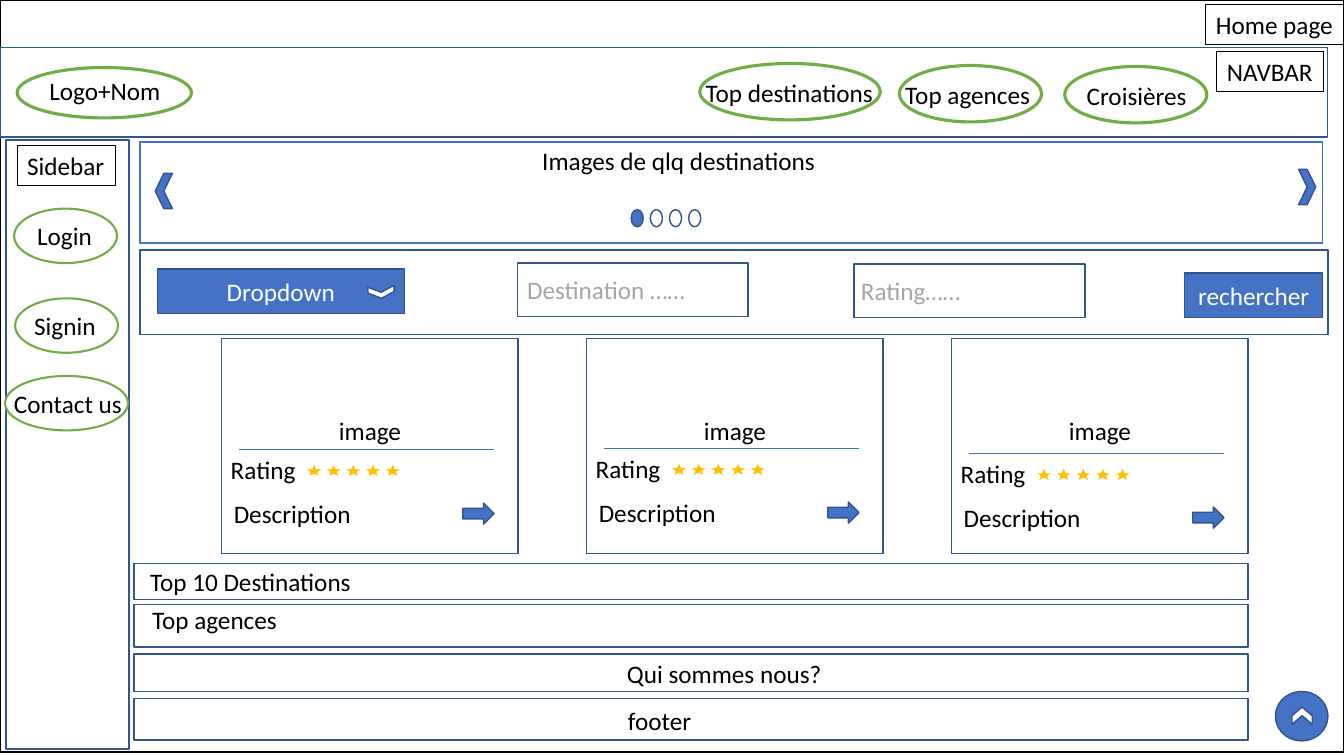
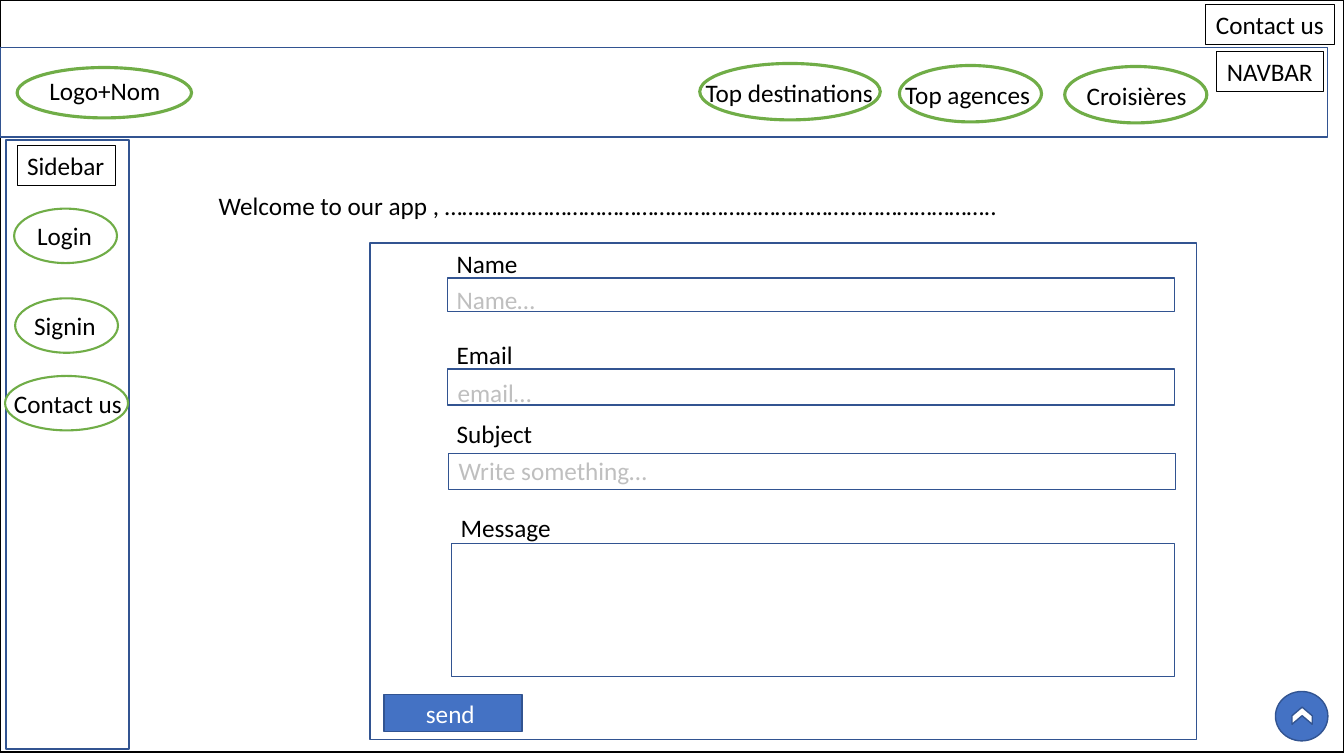
from dataclasses import dataclass

from lxml import etree
from pptx import Presentation
from pptx import util as u
from pptx.dml.color import RGBColor
from pptx.enum import shapes, text
from pptx.oxml.ns import qn

KIND = shapes.MSO_SHAPE
SIZING = text.MSO_AUTO_SIZE


@dataclass(frozen=True)
class Theme:
    """Colours, font and sizes used on every slide."""
    font: str = "Calibri"
    size: int = 18
    black: str = "000000"
    white: str = "FFFFFF"
    blue: str = "4472C4"
    navy: str = "325491"
    green: str = "70AD47"
    gold: str = "FFC000"
    grey: str = "A6A6A6"
    pale: str = "BFBFBF"


T = Theme()


def color(code):
    """Turn a hex code into a colour."""
    return RGBColor.from_string(code)


def shape(page, kind, box, fill=None, line=T.navy, width=1.0, turn=0):
    """Draw a preset shape without shadow."""
    item = page.shapes.add_shape(kind, *map(u.Inches, box))
    item.shadow.inherit = False
    item.rotation = turn
    outline(item, line, width)
    if fill:
        item.fill.solid()
        item.fill.fore_color.rgb = color(fill)
    else:
        item.fill.background()
    return item


def outline(item, line, width):
    """Set the outline of a shape."""
    item.line.color.rgb = color(line)
    item.line.width = u.Pt(width)


def write(item, words, tint=T.black, align=text.PP_ALIGN.LEFT):
    """Add one run of text to a shape."""
    para = item.text_frame.paragraphs[0]
    para.alignment = align
    run = para.add_run()
    run.text = words
    run.font.name = T.font
    run.font.size = u.Pt(T.size)
    run.font.bold = False
    run.font.color.rgb = color(tint)


def fit(item, wrap, sizing=SIZING.SHAPE_TO_FIT_TEXT):
    """Anchor text at the top and set how its shape adapts."""
    frame = item.text_frame
    frame.word_wrap = wrap
    frame.vertical_anchor = text.MSO_ANCHOR.TOP
    frame.auto_size = sizing


def label(page, words, x, y, w, tint=T.black, wrap=True):
    """Place a one-line text box."""
    item = page.shapes.add_textbox(*map(u.Inches, (x, y, w, 0.4)))
    fit(item, wrap)
    write(item, words, tint)


def tag(page, words, x, y, w):
    """Place a black-edged name tag."""
    item = shape(page, KIND.RECTANGLE, (x, y, w, 0.4), None, T.black, 0.75)
    fit(item, False)
    write(item, words)


def middle(item, words, tint):
    """Centre words in a shape."""
    item.text_frame.word_wrap = True
    item.text_frame.vertical_anchor = text.MSO_ANCHOR.MIDDLE
    write(item, words, tint, text.PP_ALIGN.CENTER)


def button(page, words, box):
    """Draw a blue button."""
    middle(shape(page, KIND.RECTANGLE, box, T.blue), words, T.white)


def title(page, words, box):
    """Turn the title placeholder into the page tag of fixed size."""
    item = page.shapes.title
    item.left, item.top, item.width, item.height = map(u.Inches, box)
    fit(item, False, SIZING.NONE)
    item.fill.background()
    outline(item, T.black, 0.75)
    frame = item.text_frame
    frame.margin_left = frame.margin_right = u.Inches(0.1)
    frame.margin_top = frame.margin_bottom = u.Inches(0.05)
    write(item, words)


def navbar(page, box):
    """Draw the top band with its links."""
    x, y, w, h = box
    shape(page, KIND.RECTANGLE, box)
    tag(page, "NAVBAR", x + 12.07, y + 0.04, 1.06)
    links = (
        ("Logo+Nom", 0.17, 0.2, 1.73, 0.5, 0.39, 0.23, 1.32),
        ("Top destinations", 6.94, 0.16, 1.79, 0.56, 6.9, 0.25, 1.88),
        ("Top agences", 8.92, 0.18, 1.41, 0.56, 8.88, 0.27, 1.46),
        ("Croisières", 10.56, 0.19, 1.41, 0.56, 10.68, 0.28, 1.2),
    )
    for words, left, top, wide, high, inset, drop, span in links:
        shape(page, KIND.OVAL, (x + left, y + top, wide, high),
              None, T.green, 2.25)
        label(page, words, x + inset, y + drop, span, wrap=False)


def sidebar(page, box):
    """Draw the left band with its links."""
    x, y, w, h = box
    shape(page, KIND.RECTANGLE, box)
    tag(page, "Sidebar", x + 0.11, y + 0.05, 0.98)
    links = (
        ("Login", 0.08, 0.68, 1.02, 0.21, 0.78),
        ("Signin", 0.09, 1.57, 1.02, 0.18, 0.91),
        ("Contact us", -0.01, 2.34, 1.22, -0.02, 1.61),
    )
    for words, left, top, wide, inset, span in links:
        shape(page, KIND.OVAL, (x + left, y + top, wide, 0.54),
              T.white, T.green, 1.5)
        label(page, words, x + inset, y + top + 0.07, span)


def upward(page, box):
    """Draw the round back-to-top button."""
    x, y, w, h = box
    shape(page, KIND.FLOWCHART_CONNECTOR, box, T.blue)
    shape(page, KIND.CHEVRON, (x + 0.18, y + 0.14, 0.17, 0.2),
          T.white, turn=270)


def start(deck, words, wide):
    """Add a slide with the parts that all pages share."""
    page = deck.slides.add_slide(deck.slide_layouts[5])
    title(page, words, (11.96, 0.04, wide, 0.4))
    shape(page, KIND.RECTANGLE, (0, 0, 13.33, 7.46), None, T.black)
    navbar(page, (0, 0.47, 13.17, 0.89))
    sidebar(page, (0.06, 1.39, 1.22, 6.04))
    upward(page, (12.65, 6.86, 0.52, 0.49))
    return page


def slider(page, box):
    """Draw the image slider with arrows and dots."""
    x, y, w, h = box
    shape(page, KIND.RECTANGLE, box, None, T.blue)
    for left, top, turn in ((0.15, 0.31, 180), (w - 0.24, 0.27, 0)):
        shape(page, KIND.CHEVRON, (x + left, y + top, 0.17, 0.35),
              T.blue, turn=turn)
    label(page, "Images de qlq destinations", x + 3.89, y - 0.02, 2.94,
          wrap=False)
    for i in range(4):
        shape(page, KIND.FLOWCHART_CONNECTOR,
              (x + 4.87 + 0.19 * i, y + 0.67, 0.12, 0.17),
              None if i else T.blue)


def search(page, box):
    """Draw the search bar."""
    x, y, w, h = box
    shape(page, KIND.RECTANGLE, box)
    button(page, "rechercher", (x + 10.36, y + 0.23, 1.37, 0.44))
    hints = (("Destination ……", 3.74, 0.13, 3.74, 1.8),
             ("Rating……", 7.08, 0.14, 7.05, 1.2))
    for words, left, top, inset, span in hints:
        shape(page, KIND.RECTANGLE, (x + left, y + top, 2.29, 0.53))
        label(page, words, x + inset, y + top + 0.06, span, T.grey, False)
    button(page, "Dropdown", (x + 0.17, y + 0.19, 2.45, 0.44))
    shape(page, KIND.CHEVRON, (x + 2.33, y + 0.29, 0.12, 0.26),
          T.white, turn=86.1)


def card(page, box, rule):
    """Draw an offer card; rule is the drop of its dividing line."""
    x, y, w, h = box
    item = shape(page, KIND.RECTANGLE, box, T.white)
    item.text_frame.margin_bottom = u.Inches(0.35)
    middle(item, "image", T.black)
    y += rule
    line = page.shapes.add_connector(
        shapes.MSO_CONNECTOR.STRAIGHT,
        *map(u.Inches, (x + 0.17, y, x + 2.7, y)))
    outline(line, T.blue, 0.5)
    etree.SubElement(line._element.spPr, qn("a:effectLst"))
    label(page, "Rating", x - 0.01, y, 0.91)
    for i in range(5):
        shape(page, KIND.STAR_5_POINT,
              (x + 0.8 + 0.195 * i, y + 0.12, 0.23, 0.17),
              T.gold, T.white, 1.5)
    label(page, "Description", x + 0.02, y + 0.43, 1.39)
    shape(page, KIND.RIGHT_ARROW, (x + 2.39, y + 0.53, 0.31, 0.21), T.blue)


def strip(page, words, box, inset, drop):
    """Draw a wide section bar with its name."""
    x, y, w, h = box
    shape(page, KIND.RECTANGLE, box, T.white)
    label(page, words, x + inset, y + drop, 2.58)


def form(page, box):
    """Draw the contact form."""
    x, y, w, h = box
    shape(page, KIND.RECTANGLE, box, T.white)
    fields = (
        ("Name", 0.76, 0, 0.81, 0.77, 0.35, 7.21, 0.33, "Name…", 0.76, 0.36),
        ("Email", 0.76, 0.91, 0.76, 0.77, 1.25, 7.21, 0.36,
         "email…", 0.77, 1.28),
        ("Subject", 0.76, 1.69, 0.96, 0.78, 2.09, 7.21, 0.36,
         "Write something…", 0.78, 2.06),
        ("Message", 0.8, 2.62, 1.1, 0.81, 2.98, 7.17, 1.32, None, 0, 0),
    )
    for name, nx, ny, nw, left, top, wide, high, hint, hx, hy in fields:
        label(page, name, x + nx, y + ny, nw, wrap=False)
        shape(page, KIND.RECTANGLE, (x + left, y + top, wide, high), T.white)
        if hint:
            label(page, hint, x + hx, y + hy, 2.36, T.pale)
    button(page, "send ", (x + 0.14, y + 4.48, 1.37, 0.37))


def home(deck):
    """Build the home page."""
    page = start(deck, "Home page", 1.38)
    slider(page, (1.39, 1.41, 11.73, 1))
    search(page, (1.39, 2.48, 11.78, 0.84))
    for i, rule in enumerate((1.1, 1.09, 1.14)):
        card(page, (2.2 + 3.62 * i, 3.36, 2.94, 2.13), rule)
    strips = (("Top 10 Destinations", 5.59, 0.36, 0.06, -0.02),
              ("Top agences", 6, 0.42, 0.08, -0.05),
              ("Qui sommes nous?", 6.49, 0.37, 4.79, -0.01),
              ("footer", 6.93, 0.41, 4.8, 0.02))
    for words, top, high, inset, drop in strips:
        strip(page, words, (1.33, top, 11.05, high), inset, drop)


def contact(deck):
    """Build the contact page."""
    page = start(deck, "Contact us", 1.28)
    label(page, "Welcome to our app , " + "…" * 31 + "..", 2.07, 1.84, 10.19)
    form(page, (3.67, 2.41, 8.2, 4.93))


def main():
    """Build and save the deck."""
    deck = Presentation()
    deck.slide_width = u.Inches(13.33)
    deck.slide_height = u.Inches(7.5)
    home(deck)
    contact(deck)
    deck.save("out.pptx")


main()
